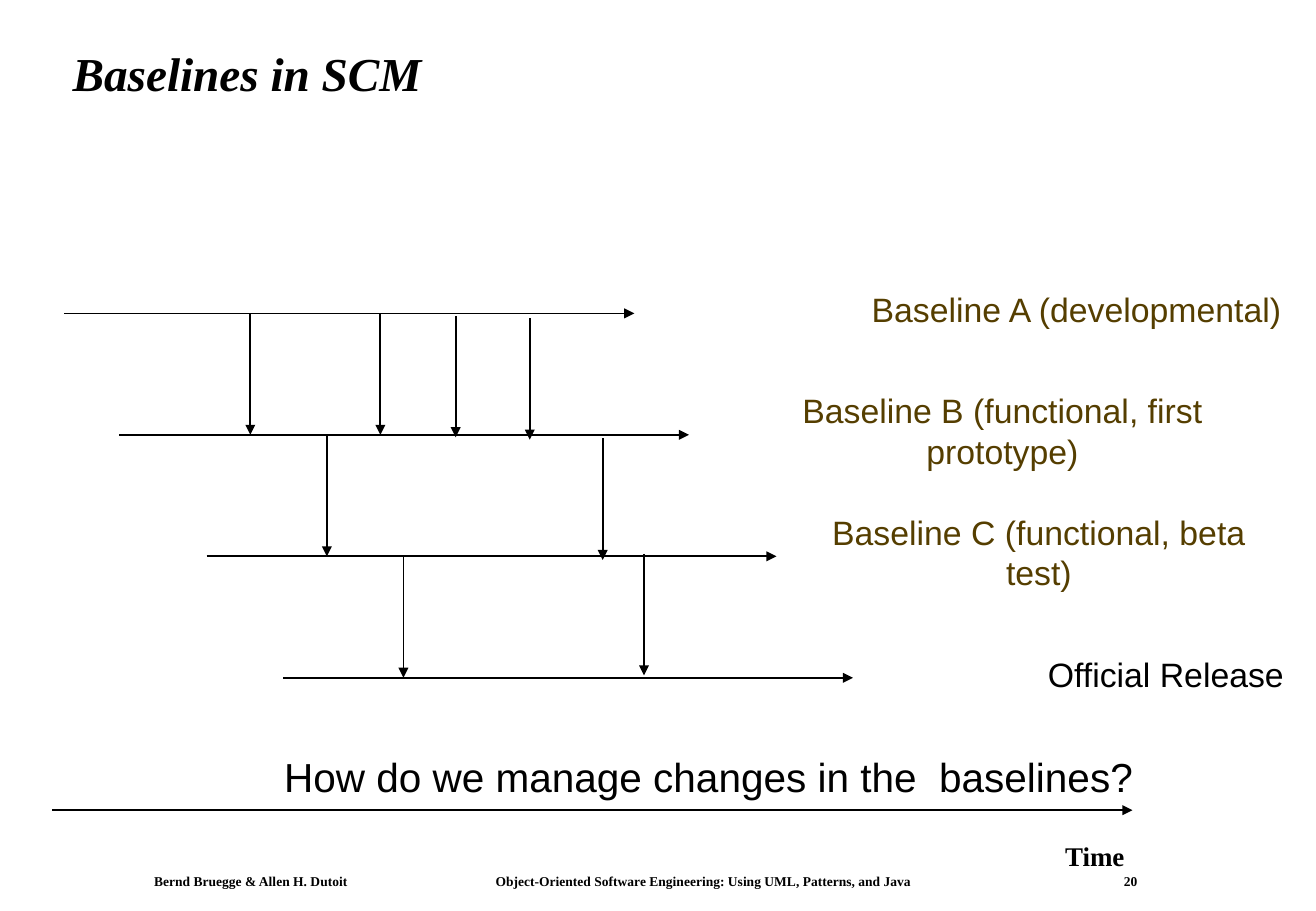
"""Build the slide on baselines in software configuration management."""
from pptx import Presentation
from pptx.dml.color import RGBColor
from pptx.enum.shapes import MSO_CONNECTOR
from pptx.enum.text import MSO_ANCHOR, PP_ALIGN
from pptx.oxml.ns import qn
from pptx.util import Inches, Pt
from lxml.etree import SubElement

COLORS = {"black": "000000", "brown": "553E00"}
SANS, SERIF = "Arial", "Times New Roman"


def add_text(text, left, top, width, height, size, font=SANS, color="black",
             align=PP_ALIGN.CENTER, bold=False, italic=False, wrap=True):
    box = page.shapes.add_textbox(Inches(left), Inches(top), Inches(width), Inches(height))
    frame = box.text_frame
    frame.word_wrap = wrap
    frame.vertical_anchor = MSO_ANCHOR.MIDDLE
    frame.text = text
    para = frame.paragraphs[0]
    para.alignment = align
    span = para.runs[0].font
    span.name, span.size = font, Pt(size)
    span.bold, span.italic = bold, italic
    span.color.rgb = RGBColor.from_string(COLORS[color])
    return box


def add_arrow(x1, y1, x2, y2):
    arrow = page.shapes.add_connector(
        MSO_CONNECTOR.STRAIGHT, Inches(x1), Inches(y1), Inches(x2), Inches(y2))
    arrow.line.width = Pt(1)
    arrow.line.color.rgb = RGBColor.from_string(COLORS["black"])
    SubElement(arrow.line._get_or_add_ln(), qn("a:tailEnd"), type="triangle")
    SubElement(arrow._element.spPr, qn("a:effectLst"))


deck = Presentation()
deck.slide_width, deck.slide_height = Inches(10.83), Inches(7.5)
page = deck.slides.add_slide(deck.slide_layouts[6])

title = add_text("Baselines in SCM", 0.5, 0.24, 9.66, 0.77, 28, SERIF,
                 align=PP_ALIGN.LEFT, bold=True, italic=True)
title.text_frame.paragraphs[0].line_spacing = 0.9

FIRST_Y, ROW_GAP, BASELINE_LENGTH = 2.58, 1, 4.69
baselines = [
    ("Baseline A (developmental)", "brown", 0.53, 7.06, 3.6),
    ("Baseline B (functional, first prototype)", "brown", 0.98, 6.05, 4.4),
    ("Baseline C (functional, beta test)", "brown", 1.7, 6.55, 4.0),
    ("Official Release", "black", 2.33, 8.52, 2.15),
]
for row, (label, color, start, label_left, label_width) in enumerate(baselines):
    y = FIRST_Y + row * ROW_GAP
    add_arrow(start, y, start + BASELINE_LENGTH, y)
    add_text(label, label_left, y - 0.25, label_width, 0.43, 20, color=color,
             wrap=row in (1, 2))

promotions = [(2.06, 2.58), (3.13, 2.58), (3.75, 2.6), (4.36, 2.62),
              (2.69, 3.58), (4.96, 3.61), (3.32, 4.58), (5.3, 4.56)]
for x, y in promotions:
    add_arrow(x, y, x, y + ROW_GAP)

add_text("How do we manage changes in the  baselines?", 2.17, 6.14, 7.32, 0.5, 24)
add_arrow(0.43, 6.67, 9.32, 6.67)
add_text("Time", 8.66, 6.86, 0.7, 0.37, 16, SERIF, bold=True, wrap=False)

footer = [
    ("Bernd Bruegge & Allen H. Dutoit", 1.17, 2.0),
    ("Object-Oriented Software Engineering: Using UML, Patterns, and Java", 3.98, 3.8),
    ("20", 9.15, 0.4),
]
for text, left, width in footer:
    add_text(text, left, 7.15, width, 0.21, 8, SERIF,
             align=PP_ALIGN.LEFT, bold=True)

deck.save("out.pptx")
